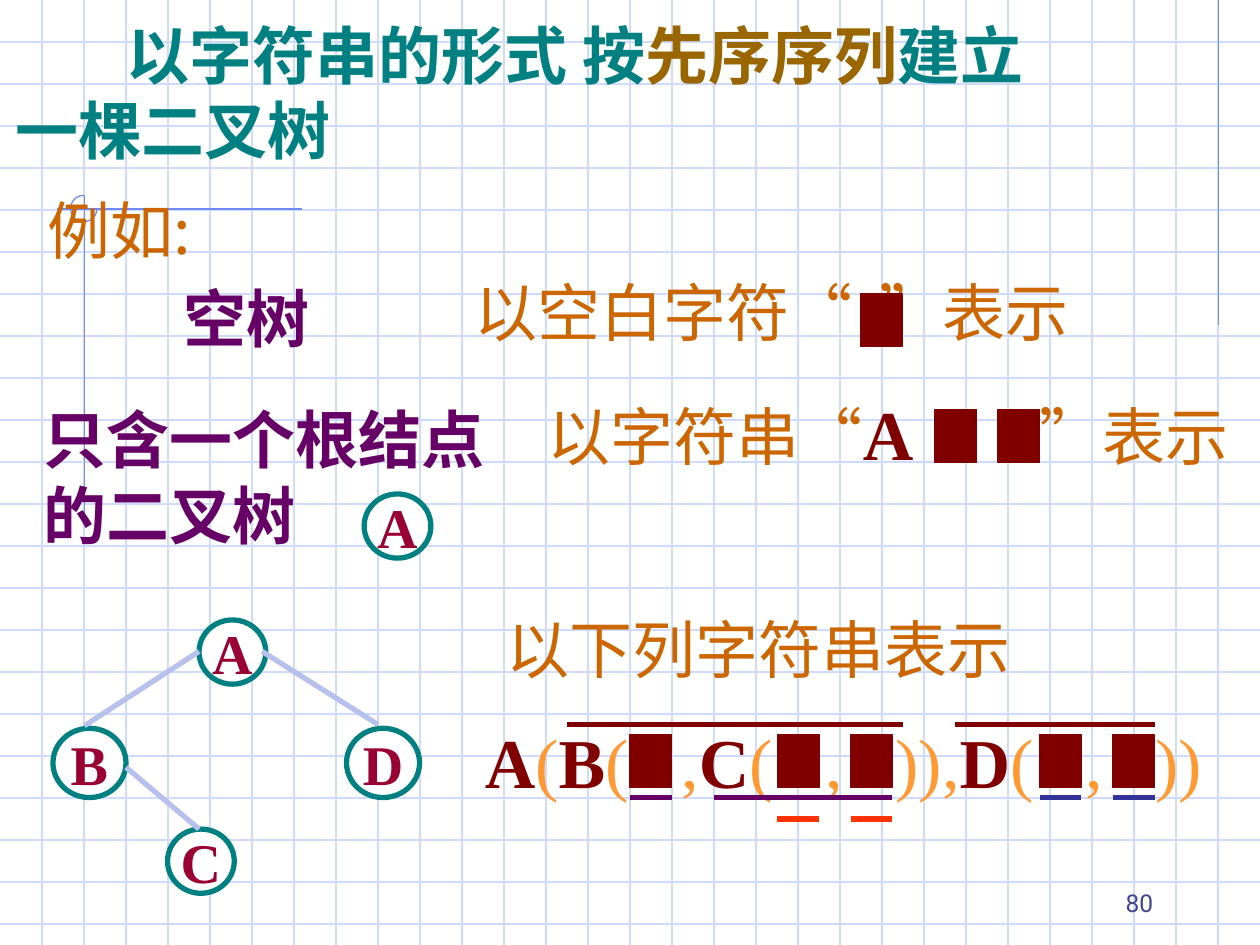
from dataclasses import dataclass, replace
from typing import NamedTuple

from lxml import etree
from pptx import Presentation
from pptx.dml.color import RGBColor
from pptx.enum.shapes import MSO_CONNECTOR, MSO_SHAPE
from pptx.enum.text import MSO_ANCHOR, PP_ALIGN
from pptx.oxml.ns import qn
from pptx.util import Inches, Pt

STRAIGHT = MSO_CONNECTOR.STRAIGHT
ARC, OVAL, RECTANGLE = MSO_SHAPE.ARC, MSO_SHAPE.OVAL, MSO_SHAPE.RECTANGLE
LEFT, CENTER, RIGHT = PP_ALIGN.LEFT, PP_ALIGN.CENTER, PP_ALIGN.RIGHT
TOP, MIDDLE, BOTTOM = MSO_ANCHOR.TOP, MSO_ANCHOR.MIDDLE, MSO_ANCHOR.BOTTOM


@dataclass(frozen=True)
class Style:
    size: float
    color: str
    bold: bool = False
    font: str = "Times New Roman"


@dataclass(frozen=True)
class Theme:
    cjk: str = "Noto Sans CJK SC"
    white: str = "FFFFFF"
    grid: str = "CFDBFD"
    frame: str = "6F89F7"
    edge: str = "B7C1EB"
    teal: str = "008080"
    maroon: str = "800000"
    purple: str = "660066"
    blue: str = "333399"
    red: str = "FF3300"
    thin: float = 0.75
    thick: float = 3
    title: Style = Style(36, "008080", True)
    highlight: Style = Style(36, "996600", True)
    body: Style = Style(36, "CC6600", font="Noto Sans CJK SC")
    label: Style = Style(36, "660066", True)
    node: Style = Style(32, "990033", True)
    symbol: Style = Style(40, "800000", True)
    bracket: Style = Style(40, "FF9933")
    number: Style = Style(14, "40458C", font="Roboto")


THEME = Theme()


class Span(NamedTuple):
    text: str
    style: Style


class Area(NamedTuple):
    left: float
    top: float
    width: float
    height: float


class Line(NamedTuple):
    x1: float
    y1: float
    x2: float
    y2: float
    color: str
    width: float = THEME.thick


class Node(NamedTuple):
    text: str
    area: Area


class Caption(NamedTuple):
    area: Area
    spans: list[Span]
    spacing: float = 1.0
    tabs: tuple[float, ...] = ()


NODES = [
    Node("A", Area(1.58, 4.92, 0.53, 0.51)),
    Node("B", Area(0.42, 5.78, 0.58, 0.55)),
    Node("C", Area(1.33, 6.58, 0.53, 0.51)),
    Node("D", Area(2.75, 5.78, 0.58, 0.55)),
    Node("A", Area(2.89, 3.92, 0.53, 0.51)),
]
EDGES = [
    Line(1.58, 5.17, 0.67, 5.76, THEME.edge),
    Line(2.08, 5.17, 3, 5.75, THEME.edge),
    Line(1, 6.09, 1.58, 6.58, THEME.edge),
]
FORMULA = [Span(text, THEME.symbol if text.isalpha() else THEME.bracket)
           for text in ("A", "(", "B", "(\t,", "C", "(\t,\t)),", "D", "(\t,\t))")]
CAPTIONS = [
    Caption(Area(0.28, 1.47, 1.57, 0.7), [Span("例如:", THEME.body)]),
    Caption(Area(3.67, 2, 5.5, 0.82), [Span("以空白字符“\t”表示", THEME.body)], 1.2, (3.21,)),
    Caption(Area(3.75, 5.52, 6.67, 0.9), FORMULA, 1.2, (1.56, 2.7, 3.26, 4.77, 5.32)),
    Caption(Area(1.36, 2.17, 1.48, 0.7), [Span("空树", THEME.label)]),
    Caption(Area(0.25, 3.13, 3.98, 1.3), [Span("只含一个根结点的二叉树", THEME.label)]),
    Caption(Area(4.25, 2.92, 6.08, 0.9),
            [Span("以字符串“", THEME.body), Span("A\t", THEME.symbol), Span("”表示", THEME.body)],
            1.2, (3.9,)),
    Caption(Area(3.92, 4.68, 6.08, 0.82), [Span("以下列字符串表示", THEME.body)], 1.2),
]
BLANKS = [(5, 5.83), (6.17, 5.83), (6.75, 5.83), (8.25, 5.83), (8.83, 5.83),
          (7.42, 3.25), (7.92, 3.25), (6.83, 2.33)]
MARKS = [Line(x1, y, x2, y, color) for x1, x2, y, color in (
    (4.5, 7.17, 5.75, THEME.maroon),
    (7.58, 9.17, 5.75, THEME.maroon),
    (5, 5.33, 6.33, THEME.purple),
    (5.67, 7.08, 6.33, THEME.purple),
    (8.25, 8.58, 6.33, THEME.blue),
    (8.83, 9.17, 6.33, THEME.blue),
    (6.17, 6.5, 6.5, THEME.red),
    (6.75, 7.08, 6.5, THEME.red),
)]


def set_font(font, style: Style) -> None:
    font.name, font.size, font.bold = style.font, Pt(style.size), style.bold
    font.color.rgb = RGBColor.from_string(style.color)


def write_para(para, spans: list[Span], align=LEFT, spacing: float = 1.0,
               tabs: tuple[float, ...] = (), indent: float = 0) -> None:
    """Fill a paragraph, with tab stops and first-line indent in inches."""
    para.alignment, para.line_spacing = align, spacing
    properties = para._p.get_or_add_pPr()
    if indent:
        properties.set("indent", str(Inches(indent)))
    if tabs:
        stops = etree.SubElement(properties, qn("a:tabLst"))
        for stop in tabs:
            etree.SubElement(stops, qn("a:tab"), pos=str(Inches(stop)), algn="l")
    uniform = len({span.style for span in spans}) == 1
    if uniform:
        set_font(para.font, spans[0].style)
    for span in spans:
        run = para.add_run()
        run.text = span.text
        if not uniform:
            set_font(run.font, span.style)


def draw_line(page, line: Line) -> None:
    connector = page.shapes.add_connector(STRAIGHT, *map(Inches, line[:4]))
    connector.line.color.rgb = RGBColor.from_string(line.color)
    connector.line.width = Pt(line.width)
    etree.SubElement(connector.element.spPr, qn("a:effectLst"))


def draw_shape(page, kind, area: Area, fill: str | None, outline: str, width: float):
    shape = page.shapes.add_shape(kind, *map(Inches, area))
    shape.shadow.inherit = False
    if fill:
        shape.fill.solid()
        shape.fill.fore_color.rgb = RGBColor.from_string(fill)
    else:
        shape.fill.background()
    shape.line.color.rgb = RGBColor.from_string(outline)
    shape.line.width = Pt(width)
    return shape


def draw_node(page, node: Node) -> None:
    frame = draw_shape(page, OVAL, node.area, THEME.white, THEME.teal, THEME.thick).text_frame
    frame.word_wrap, frame.vertical_anchor = False, MIDDLE
    write_para(frame.paragraphs[0], [Span(node.text, THEME.node)], CENTER)


def draw_caption(page, caption: Caption, align=LEFT, anchor=TOP) -> None:
    frame = page.shapes.add_textbox(*map(Inches, caption.area)).text_frame
    frame.word_wrap, frame.vertical_anchor = True, anchor
    write_para(frame.paragraphs[0], caption.spans, align, caption.spacing, caption.tabs)


def draw_background(page) -> None:
    for step in range(1, 23):
        draw_line(page, Line(0, step / 3, 10, step / 3, THEME.grid, THEME.thin))
    for step in range(1, 30):
        draw_line(page, Line(step / 3, 0, step / 3, 7.5, THEME.grid, THEME.thin))
    for ends in ((9.67, 0, 9.67, 2.58), (2.4, 1.66, 0.45, 1.66), (0.67, 1.55, 0.67, 4.09)):
        draw_line(page, Line(*ends, THEME.frame, THEME.thin))
    arc = draw_shape(page, ARC, Area(0.56, 1.55, 0.21, 0.21), None, THEME.frame, THEME.thin)
    arc.adjustments[0], arc.adjustments[1] = 0, 162


def place_title(page) -> None:
    title = page.shapes.title
    title.element.getparent().append(title.element)  # in front of the grid
    title.left, title.top, title.width, title.height = map(Inches, (0.02, 0.08, 9.45, 1.3))
    frame = title.text_frame
    frame.word_wrap, frame.vertical_anchor = True, TOP
    write_para(frame.paragraphs[0],
               [Span("以字符串的形式\t按", THEME.title), Span("先序序列", THEME.highlight),
                Span("建立", THEME.title)], tabs=(4.51,), indent=0.88)
    write_para(frame.add_paragraph(), [Span("一棵二叉树", replace(THEME.title, font=THEME.cjk))])


def main() -> None:
    deck = Presentation()
    deck.slide_width, deck.slide_height = Inches(10), Inches(7.5)
    page = deck.slides.add_slide(deck.slide_layouts[5])
    draw_background(page)
    place_title(page)
    for caption in CAPTIONS:
        draw_caption(page, caption)
    for node in NODES:
        draw_node(page, node)
    for left, top in BLANKS:
        draw_shape(page, RECTANGLE, Area(left, top, 0.33, 0.42), THEME.maroon, THEME.maroon, 1)
    for line in EDGES + MARKS:
        draw_line(page, line)
    draw_caption(page, Caption(Area(7.17, 6.83, 2.08, 0.5), [Span("80", THEME.number)]),
                 RIGHT, BOTTOM)
    deck.save("out.pptx")


if __name__ == "__main__":
    main()
